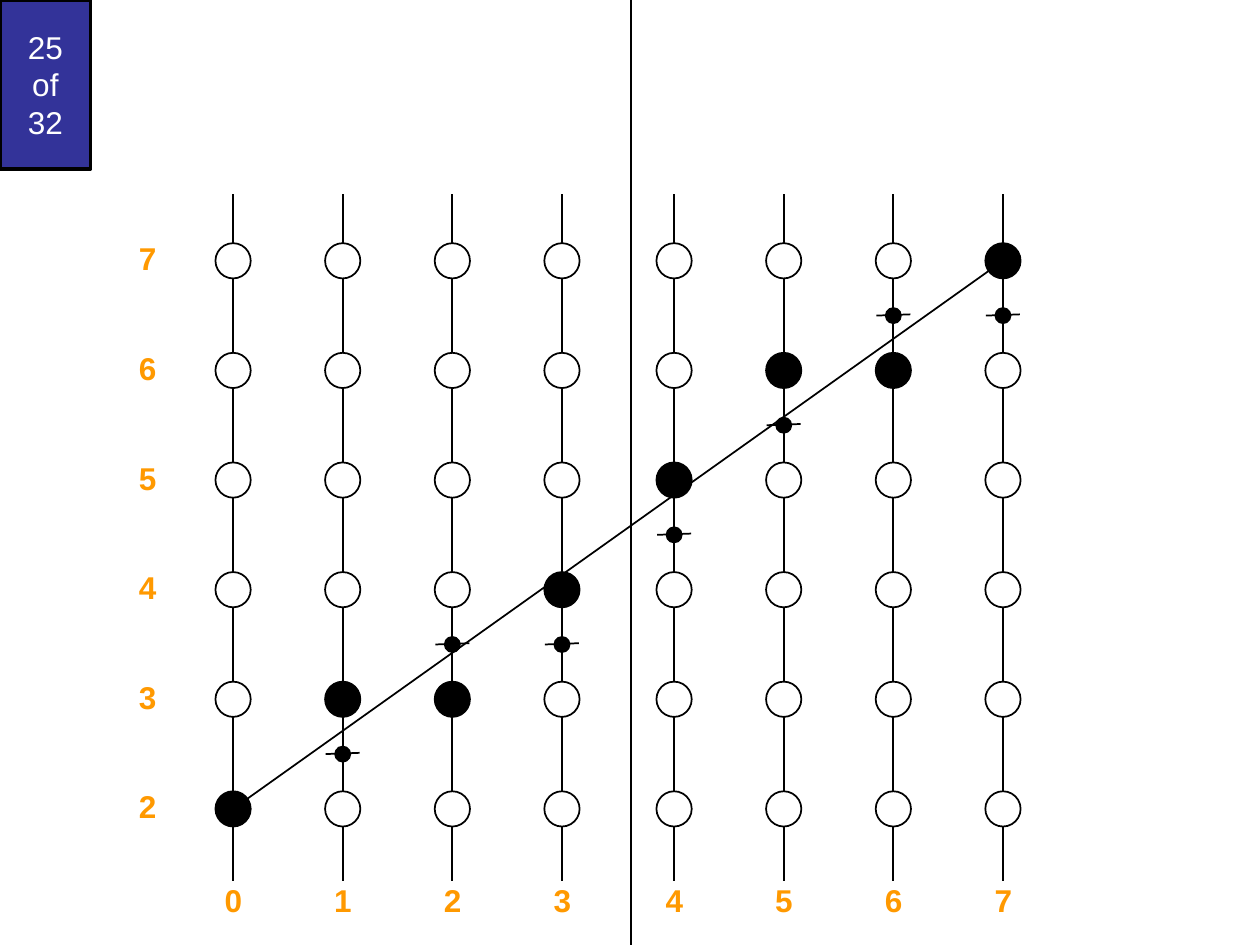
from pptx import Presentation
from pptx.dml.color import RGBColor
from pptx.enum.shapes import MSO_CONNECTOR, MSO_SHAPE
from pptx.enum.text import MSO_ANCHOR, PP_ALIGN
from pptx.oxml.ns import qn
from pptx.util import Inches, Pt
from lxml import etree

STRAIGHT = MSO_CONNECTOR.STRAIGHT
OVAL, RECT = MSO_SHAPE.OVAL, MSO_SHAPE.RECTANGLE
MIDDLE = MSO_ANCHOR.MIDDLE
CENTER, RIGHT = PP_ALIGN.CENTER, PP_ALIGN.RIGHT

# Content: the lit pixel and the tested midpoint of each column
PAGE_LINES = ["25", "of", "32"]
ROWS = [7, 6, 5, 4, 3, 2]
LIT_ROWS = [2, 3, 3, 4, 5, 6, 6, 7]
MIDPOINTS = {1: 2.5, 2: 3.5, 3: 3.5, 4: 4.5, 5: 5.5, 6: 6.5, 7: 6.5}
COLUMNS = range(len(LIT_ROWS))

THEME = {
    "ink": RGBColor(0x00, 0x00, 0x00),
    "paper": RGBColor(0xFF, 0xFF, 0xFF),
    "badge": RGBColor(0x33, 0x33, 0x99),
    "label": RGBColor(0xFF, 0x99, 0x00),
    "font": "Arial",
    "text_size": Pt(18),
    "thin": Pt(1),
    "thick": Pt(2),
}

# Grid geometry in inches
SLIDE_W, SLIDE_H = 10, 7.5
PITCH = 0.87
LEFT, BOTTOM = 1.85, 6.42
MIDDLE_GAP = 0.02
GRID_TOP, GRID_END = 1.54, 6.99
PIXEL, DOT, TICK = 0.28, 0.12, 0.27
LABEL_W, LABEL_H = 0.34, 0.4


def column_x(column):
    return LEFT + PITCH * column + (MIDDLE_GAP if column >= 4 else 0)


def row_y(row):
    return BOTTOM - PITCH * (row - ROWS[-1])


def add_line(shapes, x1, y1, x2, y2):
    line = shapes.add_connector(
        STRAIGHT, Inches(x1), Inches(y1), Inches(x2), Inches(y2))
    line.line.color.rgb = THEME["ink"]
    line.line.width = THEME["thin"]
    etree.SubElement(line._element.spPr, qn("a:effectLst"))


def add_filled(shapes, kind, left, top, width, height, fill, weight="thin"):
    shape = shapes.add_shape(
        kind, Inches(left), Inches(top), Inches(width), Inches(height))
    shape.shadow.inherit = False
    shape.fill.solid()
    shape.fill.fore_color.rgb = THEME[fill]
    shape.line.color.rgb = THEME["ink"]
    shape.line.width = THEME[weight]
    return shape


def add_circle(shapes, x, y, size, fill):
    add_filled(shapes, OVAL, x - size / 2, y - size / 2, size, size, fill)


def add_run(paragraph, words, color, bold=False):
    run = paragraph.add_run()
    run.text = words
    run.font.name = THEME["font"]
    run.font.size = THEME["text_size"]
    run.font.bold = bold
    run.font.color.rgb = THEME[color]


def add_label(shapes, left, top, number):
    label = shapes.add_textbox(
        Inches(left), Inches(top), Inches(LABEL_W), Inches(LABEL_H))
    label.text_frame.word_wrap = True
    paragraph = label.text_frame.paragraphs[0]
    paragraph.alignment = RIGHT
    add_run(paragraph, str(number), "label", bold=True)


def add_badge(shapes):
    badge = add_filled(shapes, RECT, 0, 0, 0.72, 1.34, "badge", "thick")
    badge.text_frame.word_wrap = True
    badge.text_frame.vertical_anchor = MIDDLE
    paragraph = badge.text_frame.paragraphs[0]
    paragraph.alignment = CENTER
    for index, words in enumerate(PAGE_LINES):
        if index:
            paragraph.add_line_break()
        add_run(paragraph, words, "paper")


def main():
    prs = Presentation()
    prs.slide_width, prs.slide_height = Inches(SLIDE_W), Inches(SLIDE_H)
    shapes = prs.slides.add_slide(prs.slide_layouts[6]).shapes

    # Page badge and centre line
    add_badge(shapes)
    add_line(shapes, 5.01, 0, 5.01, SLIDE_H)

    # Column lines, then the pixels on them
    for column in COLUMNS:
        add_line(shapes, column_x(column), GRID_TOP, column_x(column), GRID_END)
    for row in ROWS:
        for column, lit_row in enumerate(LIT_ROWS):
            fill = "ink" if row == lit_row else "paper"
            add_circle(shapes, column_x(column), row_y(row), PIXEL, fill)

    # Axis labels
    for row in ROWS:
        add_label(shapes, 1, row_y(row) - 0.22, row)
    for column in COLUMNS:
        add_label(shapes, column_x(column) - LABEL_W / 2, 6.94, column)

    # Ideal line from the first lit pixel to the last
    add_line(shapes, column_x(0), row_y(LIT_ROWS[0]),
             column_x(COLUMNS[-1]), row_y(LIT_ROWS[-1]))

    # Midpoint markers: a slightly rising tick with a dot
    for column, height in MIDPOINTS.items():
        x, y = column_x(column), row_y(height)
        marker = shapes.add_group_shape().shapes
        add_line(marker, x - TICK / 2, y, x + TICK / 2, y - 0.01)
        add_circle(marker, x, y, DOT, "ink")

    prs.save("out.pptx")


if __name__ == "__main__":
    main()
